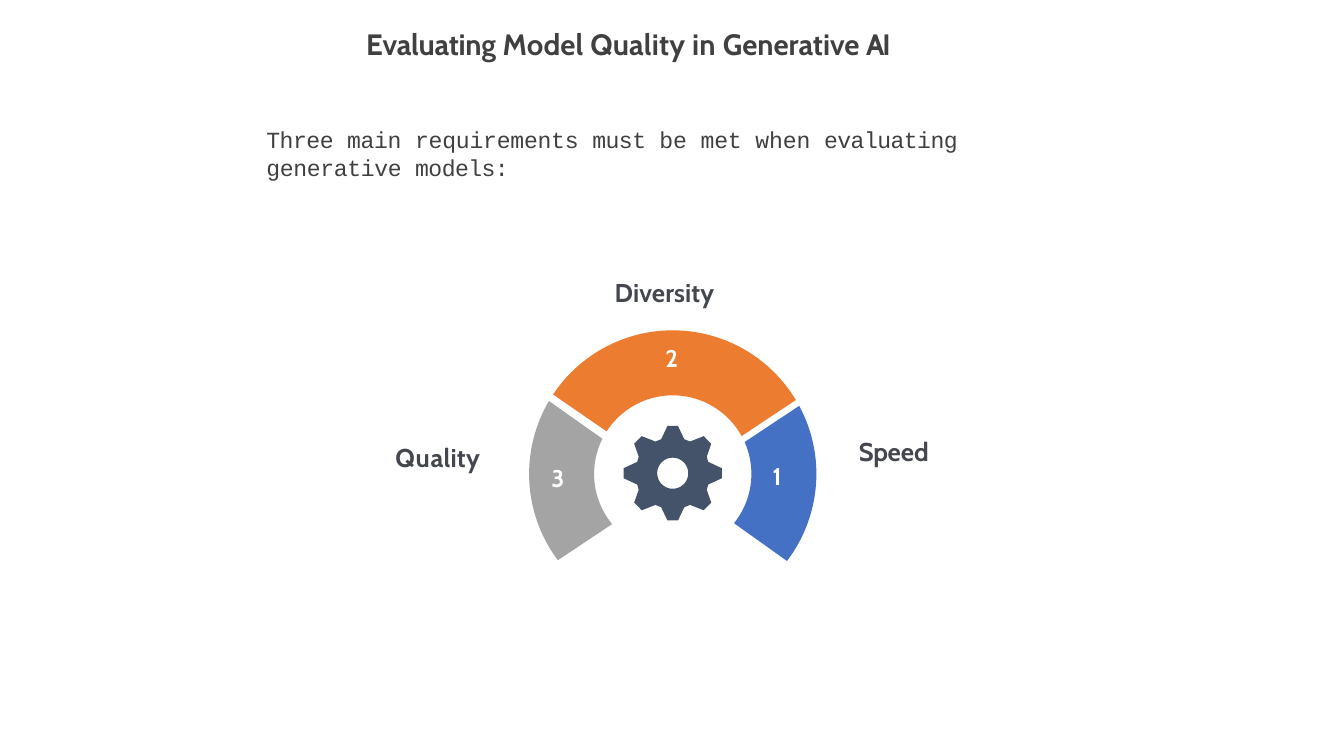
from math import cos, radians, sin

from pptx import Presentation
from pptx.dml.color import RGBColor
from pptx.enum import text as tx
from pptx.util import Pt

DARK = RGBColor(0x40, 0x40, 0x40)
SLATE = RGBColor(0x44, 0x48, 0x4E)
WHITE = RGBColor(0xFF, 0xFF, 0xFF)
ORANGE = RGBColor(0xEC, 0x7C, 0x30)
GRAY = RGBColor(0xA4, 0xA4, 0xA4)
BLUE = RGBColor(0x44, 0x71, 0xC4)
NAVY = RGBColor(0x44, 0x53, 0x6A)

HUB = (640.8, 451.4)    # centre of the gauge
OUTER, INNER = 136.8, 74.9
GEAR = (640.8, 450.7)   # centre of the gear
HOLE = 14.8

# Fill, outer angles, inner angles (clockwise from the right)
SECTORS = [
    (ORANGE, (213.6, 329), (212.8, 331.2)),
    (GRAY, (143.1, 210.5), (140.4, 206.6)),
    (BLUE, (-28.3, 37.3), (-23.9, 38.8)),
]

# Upper right quarter of the gear, from the top tooth to the right one
TEETH = [(5, -45), (11, -32.4), (16.5, -30.2), (29.5, -35.3),
         (36.7, -28), (32.4, -15.8), (33.8, -10.8), (46.8, -4.8)]

# Text, left, top, width
NUMBERS = [("1", 735.1, 438.5, 15.1), ("2", 632.9, 326.2, 15.1),
           ("3", 524.2, 440.6, 15.1)]

# Runs with their letter spacing, left, top, width
LABELS = [
    ([("Spe", -0.3), ("e", -0.5), ("d", 0.2)], 817.2, 414, 76.3),
    ([("Qu", 0.8), ("ality", 0.2)], 375.8, 419, 93.6),
    ([("Diversity", 0.1)], 584.6, 262.1, 113),
]

TITLE = [("Evaluating ", -0.2), ("Model Quality in ", 0.2),
         ("Generative ", 0), ("AI", -2.1)]

INTRO = [("Three ", -0.4), ("main ", -0.3), ("requirements ", -0.2),
         ("must ", -0.5), ("be ", -0.1), ("met ", -0.2), ("when ", -0.1),
         ("evaluating ", -0.5), ("generative ", -0.3), ("models:", -0.5)]


def write(box, runs, size, color, name="Cabin", bold=True, inset=0.72):
    """Fill a text box with one line of spaced runs."""
    frame = box.text_frame
    frame.word_wrap = True
    frame.auto_size = tx.MSO_AUTO_SIZE.SHAPE_TO_FIT_TEXT
    frame.vertical_anchor = tx.MSO_ANCHOR.TOP
    frame.margin_left = frame.margin_right = frame.margin_bottom = 0
    frame.margin_top = Pt(inset)
    para = frame.paragraphs[0]
    para.alignment = tx.PP_ALIGN.LEFT
    para.space_before = Pt(0)
    para._p.get_or_add_pPr().set("marL", str(Pt(0.9)))
    font = para.font
    font.name, font.size, font.bold = name, Pt(size), bold
    font.color.rgb = color
    for words, gap in runs:
        run = para.add_run()
        run.text = words
        run._r.get_or_add_rPr().set("spc", str(round(gap * 100)))


def place(box, left, top, width, height):
    box.left, box.top = Pt(left), Pt(top)
    box.width, box.height = Pt(width), Pt(height)


def add_text(slide, left, top, width, height, *args, **style):
    spot = [Pt(v) for v in (left, top, width, height)]
    write(slide.shapes.add_textbox(*spot), *args, **style)


def arc(center, radius, start, end, steps=40):
    """Points along a circle from one angle to another."""
    turns = [radians(start + (end - start) * i / steps)
             for i in range(steps + 1)]
    return [(center[0] + radius * cos(t), center[1] + radius * sin(t))
            for t in turns]


def add_form(shapes, fill, *loops):
    """Draw closed outlines as one filled shape."""
    loops = [[(Pt(x), Pt(y)) for x, y in loop] for loop in loops]
    pen = shapes.build_freeform(*loops[0][0])
    pen.add_line_segments(loops[0][1:])
    for loop in loops[1:]:
        pen.move_to(*loop[0])
        pen.add_line_segments(loop[1:])
    form = pen.convert_to_shape()
    form.shadow.inherit = False
    form.fill.solid()
    form.fill.fore_color.rgb = fill
    form.line.fill.background()


def add_gauge(slide):
    group = slide.shapes.add_group_shape()
    for fill, out, inn in SECTORS:
        edge = arc(HUB, OUTER, *out) + arc(HUB, INNER, *inn)[::-1]
        add_form(group.shapes, fill, edge)


def add_gear(slide):
    right = TEETH + [(x, -y) for x, y in TEETH[::-1]]
    rim = right + [(-x, y) for x, y in right[::-1]]
    rim = [(GEAR[0] + x, GEAR[1] + y) for x, y in rim]
    add_form(slide.shapes, NAVY, rim, arc(GEAR, HOLE, 360, 0))


def main():
    deck = Presentation()
    deck.slide_width, deck.slide_height = Pt(1280.16), Pt(720)
    slide = deck.slides.add_slide(deck.slide_layouts[5])

    # Title and intro
    title = slide.shapes.title
    place(title, 347.8, 24.5, 583.9, 35.3)
    write(title, TITLE, 28, DARK)
    add_text(slide, 252.7, 118.8, 776.2, 28.1, INTRO, 22, DARK,
             name="Courier New", bold=False)

    # Gauge with its numbers and labels
    add_gauge(slide)
    for digit, left, top, width in NUMBERS:
        add_text(slide, left, top, width, 29.5, [(digit, -1.5)], 23, WHITE)
    for runs, left, top, width in LABELS:
        add_text(slide, left, top, width, 31.7, runs, 24.5, SLATE, inset=1.4)

    # Gear in the middle
    add_gear(slide)
    deck.save("out.pptx")


if __name__ == "__main__":
    main()
